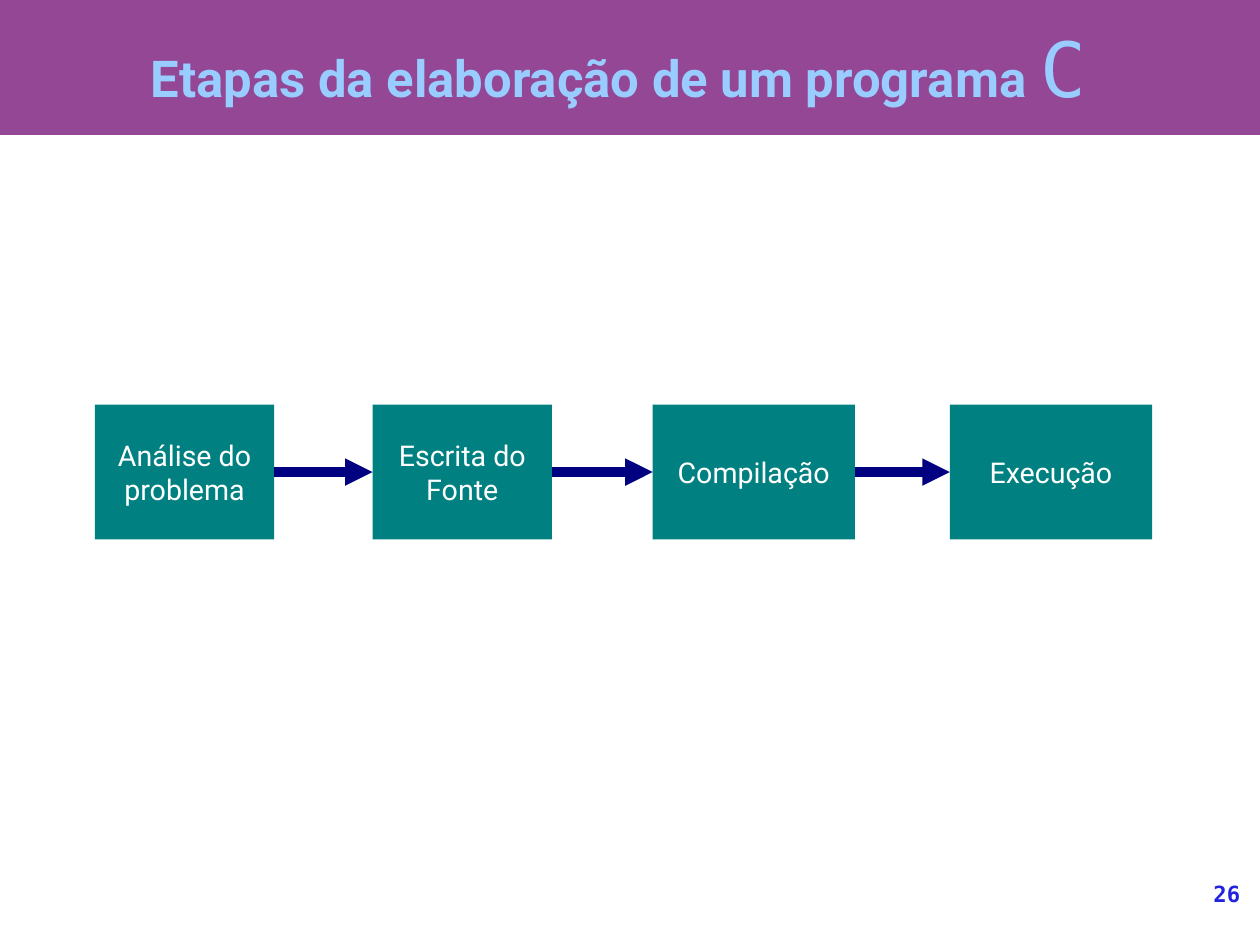
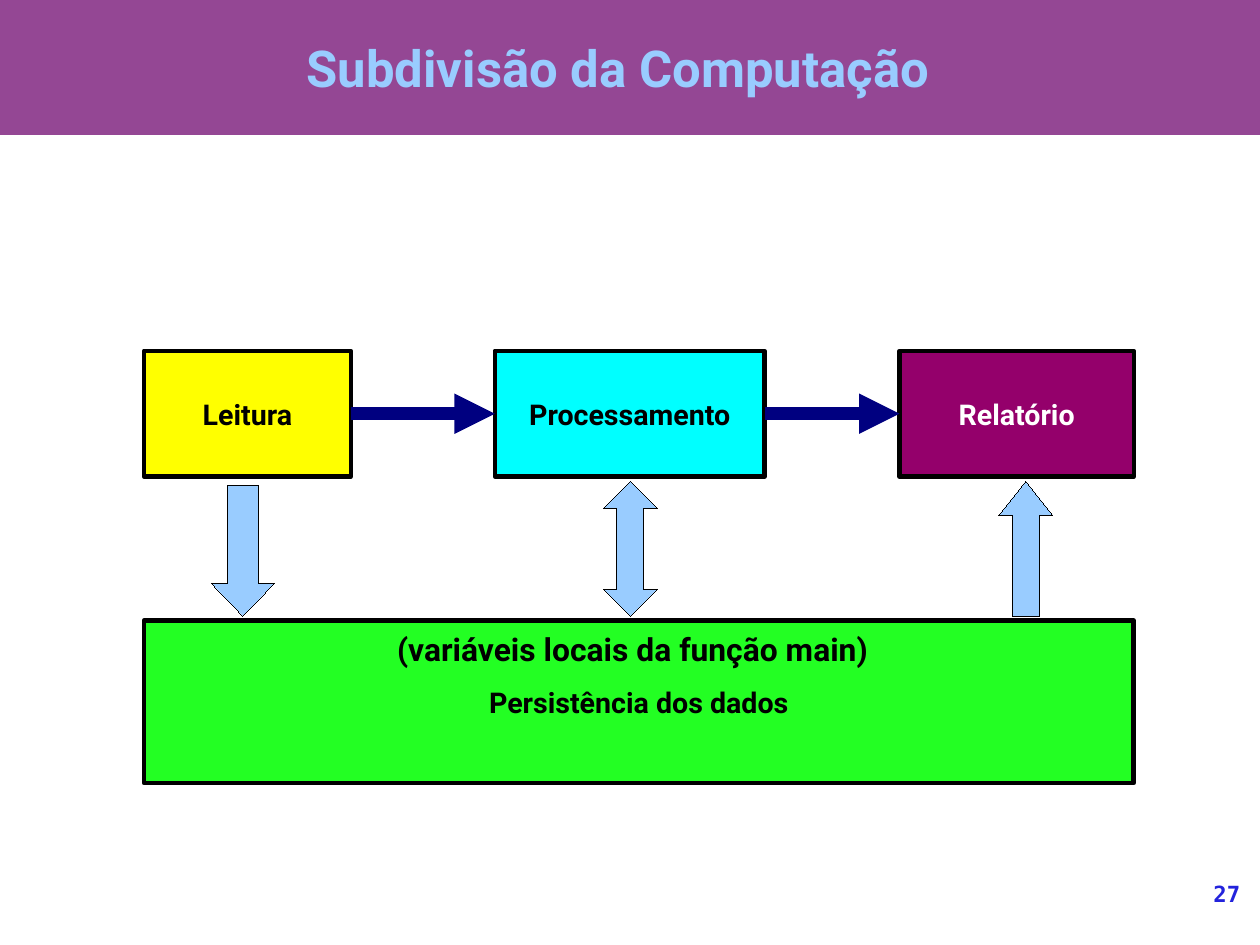
from itertools import pairwise

from lxml import etree
from pptx import Presentation
from pptx.dml.color import RGBColor
from pptx.enum.shapes import MSO_CONNECTOR, MSO_SHAPE
from pptx.enum.text import MSO_ANCHOR, MSO_AUTO_SIZE, PP_ALIGN
from pptx.oxml.ns import qn
from pptx.util import Cm, Inches, Pt

RECT = MSO_SHAPE.RECTANGLE
DOWN, UP, UP_DOWN = MSO_SHAPE.DOWN_ARROW, MSO_SHAPE.UP_ARROW, MSO_SHAPE.UP_DOWN_ARROW
STRAIGHT = MSO_CONNECTOR.STRAIGHT
MIDDLE = MSO_ANCHOR.MIDDLE
CENTER, RIGHT = PP_ALIGN.CENTER, PP_ALIGN.RIGHT
LEFT_SITE, RIGHT_SITE = 1, 3
LAYOUT_TITLE_ONLY = 5


class Theme:
    font = "Roboto"
    mono = "DejaVu Sans Mono"
    band = RGBColor.from_string("944794")
    light_blue = RGBColor.from_string("99CCFF")
    navy = RGBColor.from_string("000080")
    number = RGBColor.from_string("2323DC")
    teal = RGBColor.from_string("008080")
    yellow = RGBColor.from_string("FFFF00")
    cyan = RGBColor.from_string("00FFFF")
    plum = RGBColor.from_string("94006B")
    green = RGBColor.from_string("23FF23")
    black = RGBColor.from_string("000000")
    white = RGBColor.from_string("FFFFFF")
    title_size = Pt(32)
    language_size = Pt(48)
    caption_size = Pt(20)
    label_size = Pt(18)
    number_size = Pt(14)
    outline = Pt(2.83)
    hairline = Pt(0.01)


def add_shape(s, kind, at, fill, outline=None, text="", color=Theme.white, bold=False):
    """Add a filled shape at (left, top, width, height) inches, with an optional label."""
    sp = s.shapes.add_shape(kind, *map(Inches, at))
    sp.shadow.inherit = False
    sp.fill.solid()
    sp.fill.fore_color.rgb = fill
    if outline is None:
        sp.line.fill.background()
    else:
        sp.line.color.rgb = Theme.black
        sp.line.width = outline
    if text:
        tf = sp.text_frame
        tf.word_wrap = True
        tf.vertical_anchor = MIDDLE
        p = tf.paragraphs[0]
        p.text = text
        p.alignment = CENTER
        p.font.name, p.font.size = Theme.font, Theme.label_size
        p.font.bold, p.font.color.rgb = bold, color
    return sp


def link_boxes(s, boxes, width):
    """Join each box to the next with an arrow."""
    for box, following in pairwise(boxes):
        arrow = s.shapes.add_connector(STRAIGHT, 0, 0, 0, 0)
        arrow.begin_connect(box, RIGHT_SITE)
        arrow.end_connect(following, LEFT_SITE)
        arrow.line.color.rgb = Theme.navy
        arrow.line.width = width
        ln = arrow.element.spPr.find(qn("a:ln"))
        etree.SubElement(ln, qn("a:tailEnd"), type="triangle")
        etree.SubElement(arrow.element.spPr, qn("a:effectLst"))


prs = Presentation()
prs.slide_width, prs.slide_height = Cm(28), Cm(21)
layout = prs.slide_layouts[LAYOUT_TITLE_ONLY]

# Titles and page numbers
titles = ["Etapas da elaboração de um programa ", "Subdivisão da Computação"]
for number, title in enumerate(titles, start=26):
    s = prs.slides.add_slide(layout)
    sp = s.shapes.title
    sp.left, sp.top, sp.width, sp.height = map(Inches, (-0.2, 0, 11.22, 1.18))
    tf = sp.text_frame
    tf.auto_size = MSO_AUTO_SIZE.NONE
    tf.vertical_anchor = MIDDLE
    tf.margin_left = tf.margin_right = tf.margin_top = tf.margin_bottom = 0
    p = tf.paragraphs[0]
    p.text = title
    p.alignment = CENTER
    p.font.name, p.font.size = Theme.font, Theme.title_size
    p.font.bold, p.font.color.rgb = True, Theme.light_blue

    tf = s.shapes.add_textbox(*map(Inches, (9.17, 7.7, 1.68, 0.57))).text_frame
    tf.word_wrap = True
    tf.margin_left = tf.margin_right = tf.margin_top = tf.margin_bottom = 0
    p = tf.paragraphs[0]
    p.text = str(number)
    p.alignment = RIGHT
    p.font.name, p.font.size = Theme.mono, Theme.number_size
    p.font.bold, p.font.color.rgb = True, Theme.number

steps_slide, parts_slide = prs.slides

# The title band belongs to the layout, behind its placeholders
band = add_shape(steps_slide, RECT, (0, 0, 11.02, 1.18), Theme.band)
band.width = prs.slide_width
band.element.nvSpPr.cNvPr.set("id", "20")
layout.shapes.element.insert(2, band.element)

# Steps of writing a program
s = steps_slide
r = s.shapes.title.text_frame.paragraphs[0].add_run()
r.text = "C"
r.font.name, r.font.size, r.font.bold = Theme.mono, Theme.language_size, False

steps = [
    ("Análise do problema", 0.83, 1.57),
    ("Escrita do Fonte", 3.26, 1.57),
    ("Compilação", 5.71, 1.77),
    ("Execução", 8.31, 1.77),
]
boxes = [
    add_shape(s, RECT, (left, 3.54, width, 1.18), Theme.teal, text=text)
    for text, left, width in steps
]
link_boxes(s, boxes, Pt(5.75))

# Parts of a computation, over the data they share
s = parts_slide
parts = [
    ("Leitura", 1.26, 1.81, Theme.yellow, Theme.black),
    ("Processamento", 4.33, 2.36, Theme.cyan, Theme.black),
    ("Relatório", 7.87, 2.05, Theme.plum, Theme.white),
]
boxes = [
    add_shape(s, RECT, (left, 3.07, width, 1.1), fill, Theme.outline, text, color, True)
    for text, left, width, fill, color in parts
]
link_boxes(s, boxes, Pt(8.5))
add_shape(s, RECT, (1.26, 5.43, 8.66, 1.42), Theme.green, Theme.outline,
          "Persistência dos dados", Theme.black, True)

data_flows = [
    (UP_DOWN, (5.28, 4.21, 0.47, 1.18), 0.5),
    (DOWN, (1.85, 4.25, 0.55, 1.14), 0.52),
    (UP, (8.74, 4.21, 0.47, 1.18), 0.63),
]
for kind, at, head in data_flows:
    sp = add_shape(s, kind, at, Theme.light_blue, Theme.hairline)
    sp.adjustments[1] = head

tf = s.shapes.add_textbox(*map(Inches, (2.8, 5.46, 5.47, 0.43))).text_frame
tf.word_wrap = True
p = tf.paragraphs[0]
p.text = "(variáveis locais da função main)"
p.alignment = CENTER
p.font.name, p.font.size = Theme.font, Theme.caption_size
p.font.bold, p.font.color.rgb = True, Theme.black

prs.save("out.pptx")
